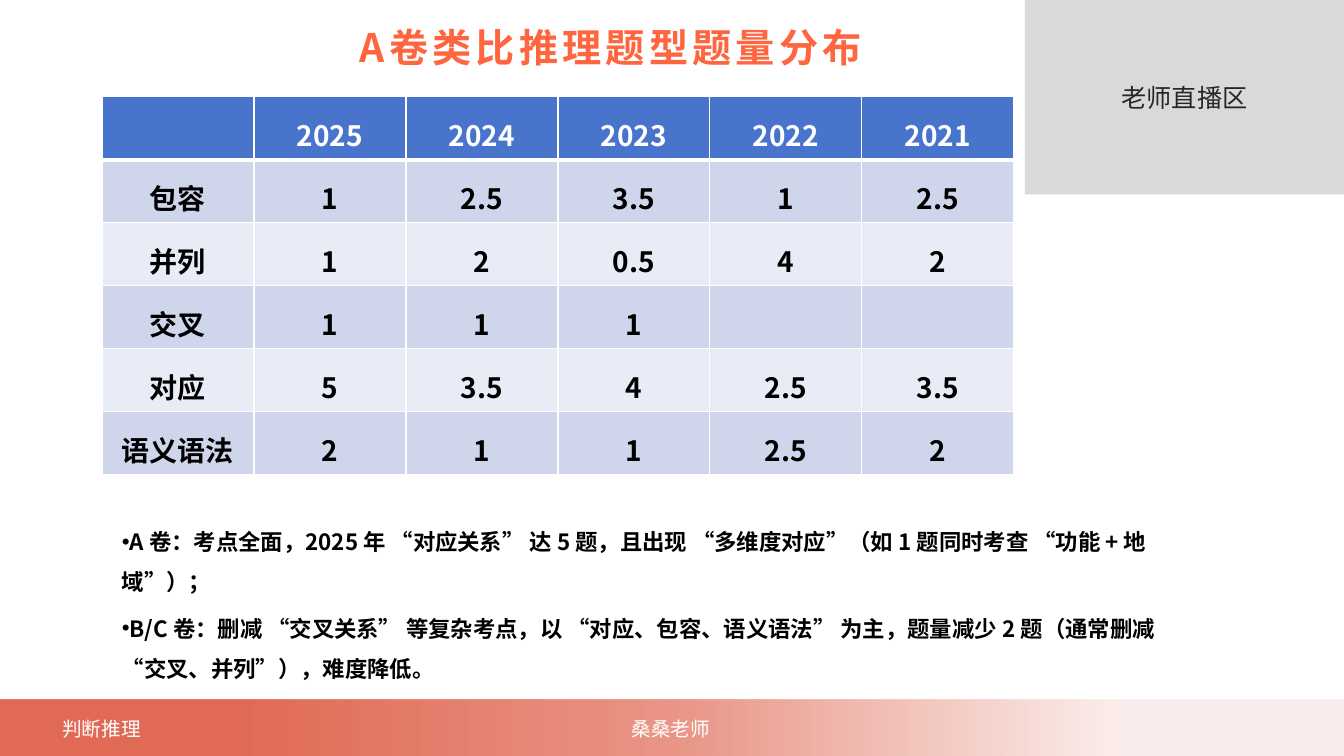
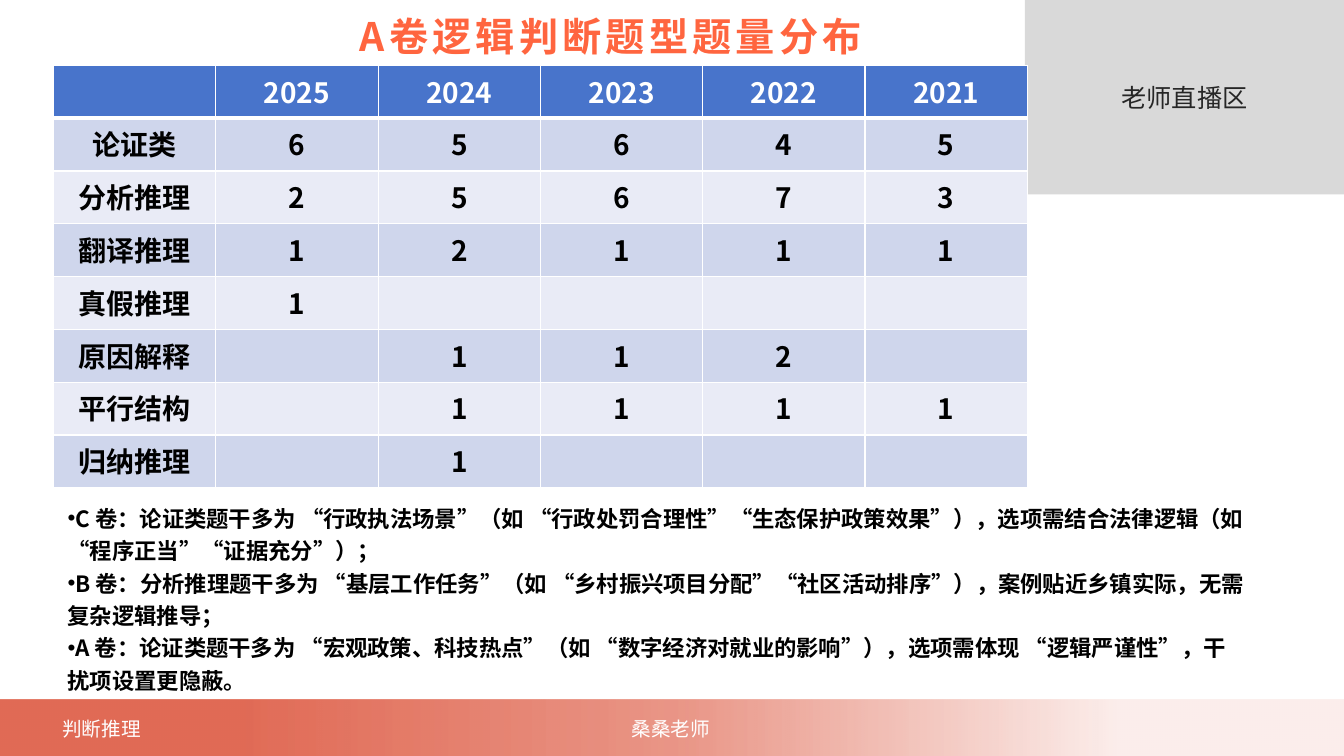
"""Build two slides on the yearly distribution of reasoning question types."""
from lxml.etree import SubElement
from pptx import Presentation
from pptx.dml.color import RGBColor
from pptx.enum.lang import MSO_LANGUAGE_ID as Language
from pptx.enum.shapes import MSO_SHAPE as Preset
from pptx.enum.text import MSO_ANCHOR as Anchor, MSO_AUTO_SIZE as AutoSize, PP_ALIGN as Align
from pptx.oxml import parse_xml
from pptx.oxml.ns import nsdecls, qn
from pptx.util import Cm, Pt

FONT = "Noto Sans CJK SC"
COLORS = {
    "title": "FF653F", "band": "DC5037", "live": "D9D9D9", "live_text": "262626",
    "header": "4874CB", "odd": "CFD6EC", "even": "E9EBF6", "white": "FFFFFF", "black": "000000",
}
BAND_STOPS = [(18, 84), (51, 59), (83, 10)]
FOOTERS = [("判断推理", 1.32), ("桑桑老师", 15.67)]
LIVE_AREA = "老师直播区"
YEARS = ["", "2025", "2024", "2023", "2022", "2021"]

SLIDES = [
    {
        "title": "A卷类比推理题型题量分布", "title_top": 0.2,
        "table_at": (2.57, 2.44), "cell": (3.83, 1.58), "cell_spacing": 1.3,
        "rows": [
            ["包容", "1", "2.5", "3.5", "1", "2.5"],
            ["并列", "1", "2", "0.5", "4", "2"],
            ["交叉", "1", "1", "1", "", ""],
            ["对应", "5", "3.5", "4", "2.5", "3.5"],
            ["语义语法", "2", "1", "1", "2.5", "2"],
        ],
        "notes_at": (2.82, 12.83, 27.61, 4.5), "notes_pitch": 29, "notes_gap": 4,
        "notes": [
            "A 卷：考点全面，2025 年 “对应关系” 达 5 题，且出现 “多维度对应”（如 1 题同时考查 “功能 + 地域”）；",
            "B/C 卷：删减 “交叉关系” 等复杂考点，以 “对应、包容、语义语法” 为主，题量减少 2 题（通常删减 “交叉、并列”），难度降低。",
        ],
    },
    {
        "title": "A卷逻辑判断题型题量分布", "title_top": -0.08,
        "table_at": (1.35, 1.65), "cell": (4.09, 1.33), "cell_spacing": 1.0,
        "rows": [
            ["论证类", "6", "5", "6", "4", "5"],
            ["分析推理", "2", "5", "6", "7", "3"],
            ["翻译推理", "1", "2", "1", "1", "1"],
            ["真假推理", "1", "", "", "", ""],
            ["原因解释", "", "1", "1", "2", ""],
            ["平行结构", "", "1", "1", "1", "1"],
            ["归纳推理", "", "1", "", "", ""],
        ],
        "notes_at": (1.45, 12.45, 30.28, 5.18), "notes_pitch": 23.2, "notes_gap": 0,
        "notes": [
            "C 卷：论证类题干多为 “行政执法场景”（如 “行政处罚合理性”“生态保护政策效果”），选项需结合法律逻辑（如 “程序正当”“证据充分”）；",
            "B 卷：分析推理题干多为 “基层工作任务”（如 “乡村振兴项目分配”“社区活动排序”），案例贴近乡镇实际，无需复杂逻辑推导；",
            "A 卷：论证类题干多为 “宏观政策、科技热点”（如 “数字经济对就业的影响”），选项需体现 “逻辑严谨性”，干扰项设置更隐蔽。",
        ],
    },
]


def rgb(key):
    return RGBColor.from_string(COLORS[key])


def write(frame, *lines, size, color, bold=False, align=Align.LEFT, spacing=1.0,
          gap=0, tracking=0, bullet=None, anchor=Anchor.TOP):
    """Fill a text frame with one paragraph per line."""
    frame.vertical_anchor = anchor
    for index, line in enumerate(lines):
        paragraph = frame.add_paragraph() if index else frame.paragraphs[0]
        paragraph.alignment = align
        paragraph.line_spacing = spacing
        paragraph.space_before = Pt(gap if index else 0)
        if bullet:
            properties = paragraph._p.get_or_add_pPr()
            properties.set("marL", "0")
            properties.set("indent", "0")
            SubElement(properties, qn("a:buChar")).set("char", bullet)
        run = paragraph.add_run()
        run.text = line
        font = run.font
        font.size, font.bold, font.name = Pt(size), bold, FONT
        font.color.rgb = rgb(color)
        font.language_id = Language.SIMPLIFIED_CHINESE
        run_properties = run._r.get_or_add_rPr()
        run_properties.set("spc", str(tracking * 100))
        SubElement(run_properties, qn("a:ea")).set("typeface", FONT)


def place(shape, *box):
    shape.left, shape.top, shape.width, shape.height = map(Cm, box)


def add_rectangle(slide, *box):
    rectangle = slide.shapes.add_shape(Preset.RECTANGLE, *map(Cm, box))
    rectangle.shadow.inherit = False
    rectangle.line.fill.background()
    return rectangle


def furnish_layout(layout, slide):
    """Draw the live area and footer band, then move them to the layout."""
    live = add_rectangle(slide, 25.83, 0, 8.04, 4.9)
    live.fill.solid()
    live.fill.fore_color.rgb = rgb("live")
    write(live.text_frame, LIVE_AREA, size=18, color="live_text",
          align=Align.CENTER, anchor=Anchor.MIDDLE)

    band = add_rectangle(slide, 0, 17.62, 33.87, 1.43)
    stops = "".join(
        f'<a:gs pos="{position * 1000}"><a:srgbClr val="{COLORS["band"]}">'
        f'<a:alpha val="{opacity * 1000}"/></a:srgbClr></a:gs>'
        for position, opacity in BAND_STOPS)
    band._element.spPr.find(qn("a:prstGeom")).addnext(parse_xml(
        f'<a:gradFill {nsdecls("a")} rotWithShape="1"><a:gsLst>{stops}</a:gsLst>'
        '<a:lin ang="0" scaled="0"/></a:gradFill>'))

    shared = [live, band]
    for label, left in FOOTERS:
        footer = slide.shapes.add_textbox(Cm(left), Cm(17.93), Cm(2.49), Cm(0.86))
        footer.text_frame.word_wrap = False
        write(footer.text_frame, label, size=14, color="white")
        shared.append(footer)
    for number, shape in enumerate(shared, 20):
        shape._element.nvSpPr.cNvPr.set("id", str(number))
        layout.shapes._spTree.append(shape._element)


def set_borders(cell, bottom):
    properties = cell._tc.get_or_add_tcPr()
    for side, points in (("L", 1), ("R", 1), ("T", 1), ("B", bottom)):
        properties.append(parse_xml(
            f'<a:ln{side} {nsdecls("a")} w="{Pt(points)}"><a:solidFill>'
            f'<a:srgbClr val="{COLORS["white"]}"/></a:solidFill></a:ln{side}>'))


def add_counts(slide, content):
    rows = [YEARS] + content["rows"]
    left, top = content["table_at"]
    width, height = content["cell"]
    counts = slide.shapes.add_table(
        len(rows), len(YEARS), Cm(left), Cm(top),
        Cm(width * len(YEARS)), Cm(height * len(rows))).table
    for r, row in enumerate(rows):
        fill = "header" if r == 0 else "odd" if r % 2 else "even"
        for c, value in enumerate(row):
            cell = counts.cell(r, c)
            set_borders(cell, bottom=1 if r else 3)
            cell.fill.solid()
            cell.fill.fore_color.rgb = rgb(fill)
            if value:
                write(cell.text_frame, value, size=20, bold=True, align=Align.CENTER,
                      color="black" if r else "white", spacing=content["cell_spacing"])


def fill_slide(slide, content):
    title, notes = slide.shapes.title, slide.placeholders[1]
    place(title, 0.79, content["title_top"], 29.21, 1.96)
    place(notes, *content["notes_at"])
    for holder in (title, notes):
        holder.text_frame.auto_size = AutoSize.NONE
    write(title.text_frame, content["title"], size=28, color="title", bold=True,
          align=Align.CENTER, tracking=3, anchor=Anchor.MIDDLE)
    write(notes.text_frame, *content["notes"], size=16, color="black", bold=True,
          spacing=Pt(content["notes_pitch"]), gap=content["notes_gap"], bullet="•")
    add_counts(slide, content)


def main():
    deck = Presentation()
    deck.slide_width, deck.slide_height = Cm(33.87), Cm(19.05)
    layout = deck.slide_layouts[1]
    for index, content in enumerate(SLIDES):
        slide = deck.slides.add_slide(layout)
        if index == 0:
            furnish_layout(layout, slide)
        fill_slide(slide, content)
    deck.save("out.pptx")


if __name__ == "__main__":
    main()
